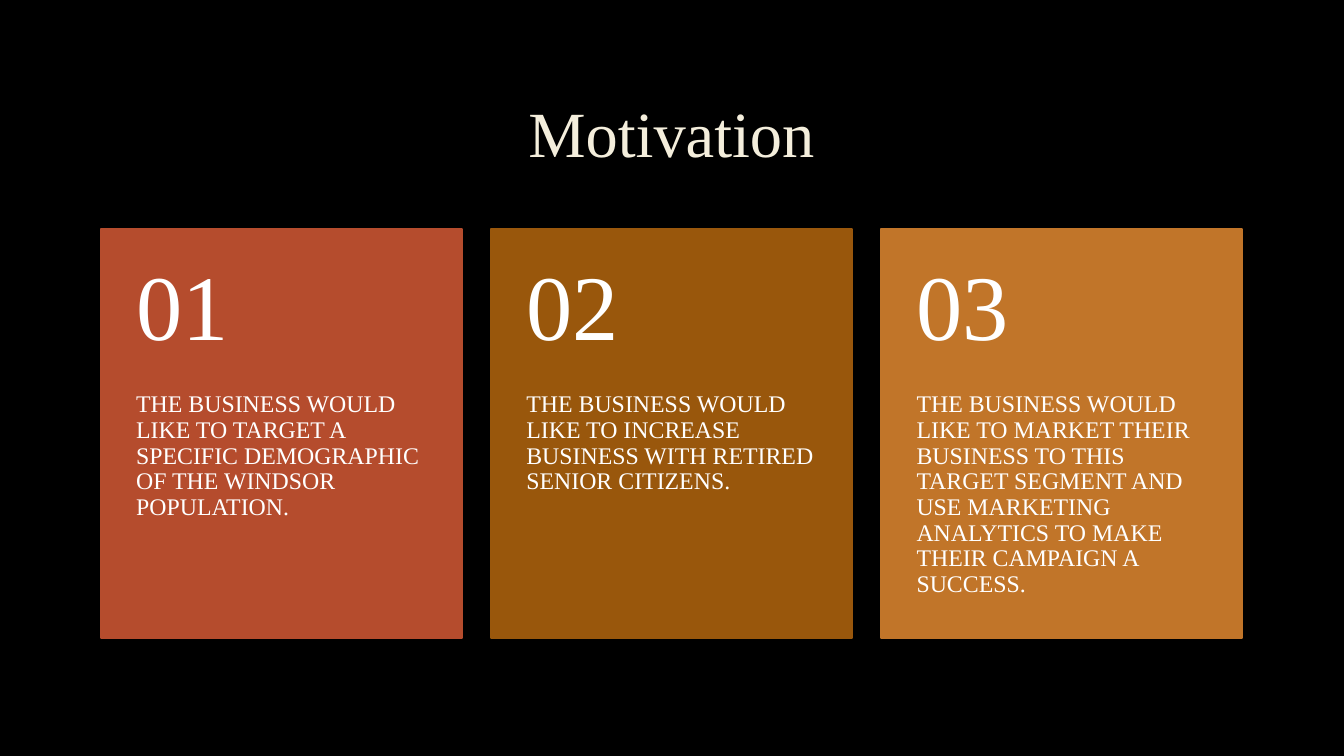
"""Build the Motivation slide with three numbered cards."""
from pptx import Presentation
from pptx.dml.color import RGBColor
from pptx.enum.shapes import MSO_SHAPE
from pptx.enum.text import MSO_ANCHOR, MSO_AUTO_SIZE, PP_ALIGN
from pptx.util import Inches, Pt

BLACK = RGBColor(0x00, 0x00, 0x00)
CREAM = RGBColor(0xF4, 0xEE, 0xDC)
WHITE = RGBColor(0xFF, 0xFF, 0xFF)
RED = RGBColor(0xB5, 0x4C, 0x2D)
BROWN = RGBColor(0x99, 0x57, 0x0C)
ORANGE = RGBColor(0xC1, 0x75, 0x29)

FONT = "Times New Roman"
CARD_LEFT, CARD_TOP, CARD_STEP = 1, 2.27, 3.87
CARD_WIDTH, CARD_HEIGHT = 3.58, 4.06
NUMBER_HEIGHT = 1.62

CARDS = [
    (RED, "THE BUSINESS WOULD LIKE TO TARGET A SPECIFIC DEMOGRAPHIC "
          "OF THE WINDSOR POPULATION."),
    (BROWN, "THE BUSINESS WOULD LIKE TO INCREASE BUSINESS WITH RETIRED "
            "SENIOR CITIZENS."),
    (ORANGE, "THE BUSINESS WOULD LIKE TO MARKET THEIR BUSINESS TO THIS "
             "TARGET SEGMENT AND USE MARKETING ANALYTICS TO MAKE THEIR "
             "CAMPAIGN A SUCCESS."),
]


def write_text(shape, text, size, color, anchor):
    frame = shape.text_frame
    frame.word_wrap = True
    frame.auto_size = MSO_AUTO_SIZE.NONE
    frame.vertical_anchor = anchor
    paragraph = frame.paragraphs[0]
    paragraph.text = text
    paragraph.line_spacing = 0.9
    paragraph.font.name = FONT
    paragraph.font.size = Pt(size)
    paragraph.font.color.rgb = color
    return frame


def add_card_text(shapes, left, top, height, margins, text, size, anchor):
    box = shapes.add_textbox(Inches(left), Inches(top), Inches(CARD_WIDTH), Inches(height))
    frame = write_text(box, text, size, WHITE, anchor)
    frame.margin_left = frame.margin_right = Inches(0.35)
    frame.margin_top, frame.margin_bottom = [Inches(margin) for margin in margins]


presentation = Presentation()
presentation.slide_width = Inches(13.33)
presentation.slide_height = Inches(7.5)
slide = presentation.slides.add_slide(presentation.slide_layouts[5])
slide.background.fill.solid()
slide.background.fill.fore_color.rgb = BLACK

title = slide.shapes.title
title.left, title.top = Inches(1), Inches(0.67)
title.width, title.height = Inches(11.32), Inches(1.38)
title_frame = write_text(title, "Motivation", 46, CREAM, MSO_ANCHOR.MIDDLE)
title_frame.paragraphs[0].alignment = PP_ALIGN.CENTER

for index, (color, message) in enumerate(CARDS):
    left = CARD_LEFT + index * CARD_STEP
    group = slide.shapes.add_group_shape()
    card = group.shapes.add_shape(
        MSO_SHAPE.RECTANGLE, Inches(left), Inches(CARD_TOP),
        Inches(CARD_WIDTH), Inches(CARD_HEIGHT))
    card.shadow.inherit = False
    card.fill.solid()
    card.fill.fore_color.rgb = color
    card.line.color.rgb = color
    card.line.width = Pt(1.25)
    add_card_text(group.shapes, left, CARD_TOP + NUMBER_HEIGHT,
                  CARD_HEIGHT - NUMBER_HEIGHT, (0, 0.36), message, 17, MSO_ANCHOR.TOP)
    add_card_text(group.shapes, left, CARD_TOP, NUMBER_HEIGHT, (0.18, 0.18),
                  f"{index + 1:02d}", 66, MSO_ANCHOR.MIDDLE)

presentation.save("out.pptx")
